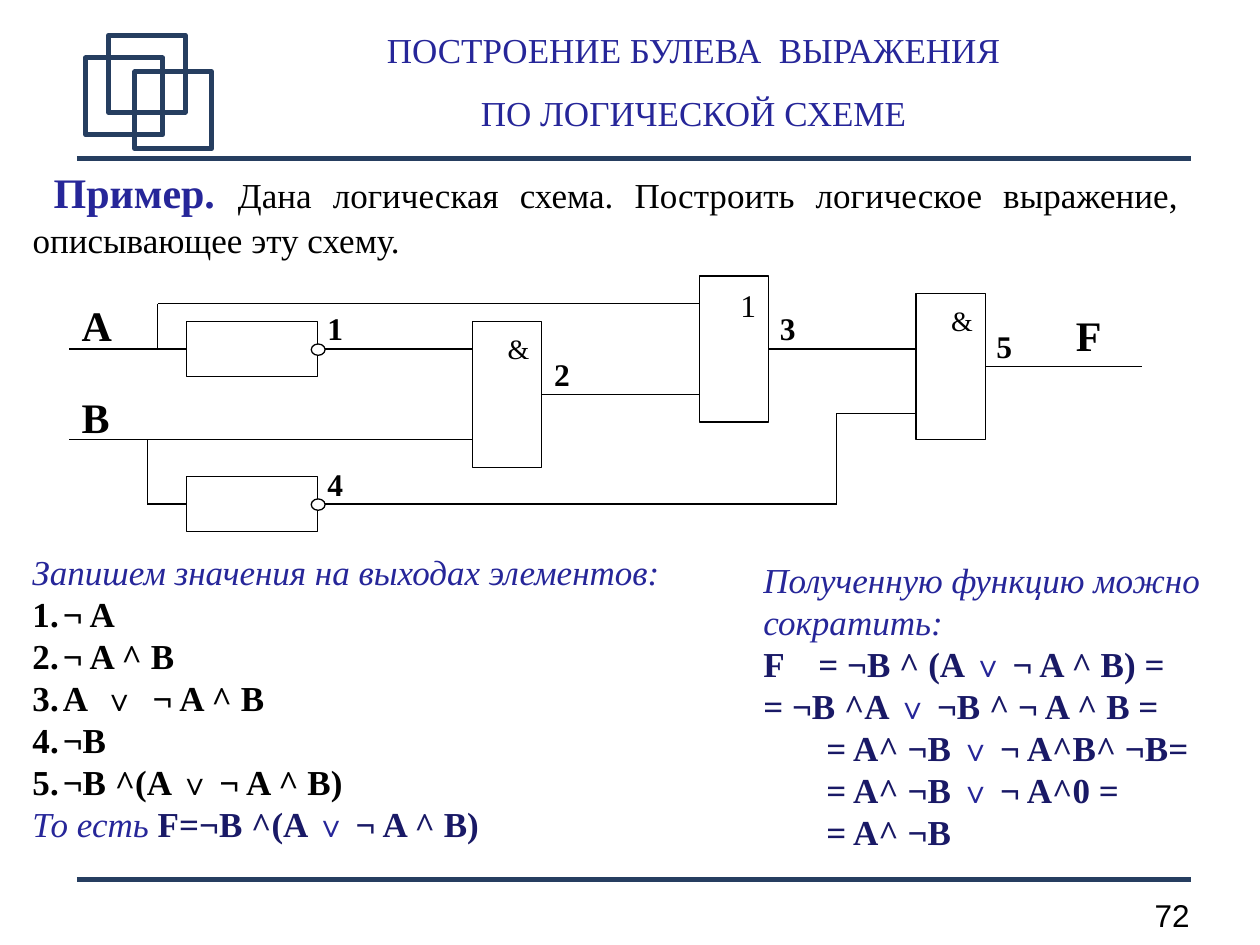
from pptx import Presentation
from pptx.dml.color import RGBColor
from pptx.enum.shapes import MSO_CONNECTOR, MSO_SHAPE
from pptx.enum.text import MSO_ANCHOR, PP_ALIGN
from pptx.oxml.ns import qn
from pptx.util import Emu, Pt
from lxml.etree import SubElement

SCALE = 9144  # EMU in one px, 100 px to the inch
TOP, LEFT, RIGHT = 0, 1, 3  # connection sites of a rectangle
SERIF, SANS = "Times New Roman", "Arial"
COLORS = {
    "ink": "000000",
    "paper": "FFFFFF",
    "frame": "263E60",
    "accent": "262699",
    "formula": "191966",
}
# name: font, size, colour, bold, italic
STYLES = {
    "title": (SERIF, 20, "accent", False, False),
    "lead": (SERIF, 24, "accent", True, False),
    "body": (SERIF, 20, "ink", False, False),
    "note": (SERIF, 20, "accent", False, True),
    "step": (SERIF, 20, "ink", True, False),
    "step or": (SANS, 18, "ink", True, False),
    "formula": (SERIF, 20, "formula", True, False),
    "formula or": (SANS, 18, "accent", True, False),
    "signal": (SERIF, 24, "ink", True, False),
    "number": (SERIF, 18, "ink", True, False),
    "and": (SERIF, 16, "ink", False, False),
    "or": (SERIF, 18, "ink", False, False),
    "page": (SANS, 18, "ink", False, False),
}


def px(length):
    return Emu(length * SCALE)


def color(name):
    return RGBColor.from_string(COLORS[name])


class SlideBuilder:
    def __init__(self, slide):
        self.slide = slide
        self.shapes = slide.shapes

    def style_span(self, span, style):
        name, size, tint, bold, italic = STYLES[style]
        font = span.font
        font.name, font.size, font.bold, font.italic = name, Pt(size), bold, italic
        font.color.rgb = color(tint)

    def line(self, start, end, tint="ink", weight=0.75, source=None, target=None):
        wire = self.shapes.add_connector(
            MSO_CONNECTOR.STRAIGHT, *(px(value) for value in (*start, *end)))
        wire.line.color.rgb = color(tint)
        wire.line.width = Pt(weight)
        SubElement(wire._element.spPr, qn("a:effectLst"))
        if source is not None:
            wire.begin_connect(source, RIGHT)
        if target is not None:
            wire.end_connect(target, LEFT)
        return wire

    def shape(self, kind, left, top, width, height, fill=None, tint="ink", weight=0.75):
        shape = self.shapes.add_shape(kind, px(left), px(top), px(width), px(height))
        shape.shadow.inherit = False
        if fill:
            shape.fill.solid()
            shape.fill.fore_color.rgb = color(fill)
        else:
            shape.fill.background()
        shape.line.color.rgb = color(tint)
        shape.line.width = Pt(weight)
        return shape

    def gate(self, left, top, sign, style):
        gate = self.shape(MSO_SHAPE.RECTANGLE, left, top, 55, 116, "paper")
        frame = gate.text_frame
        frame.text = sign
        frame.vertical_anchor = MSO_ANCHOR.TOP
        frame.margin_top = px(8)
        para = frame.paragraphs[0]
        para.alignment = PP_ALIGN.RIGHT
        self.style_span(para.runs[0], style)
        return gate

    def inverter(self, left, top):
        body = self.shape(MSO_SHAPE.RECTANGLE, left, top, 104, 44)
        self.shape(MSO_SHAPE.OVAL, left + 99, top + 18, 11, 9, "paper")
        return body

    def text(self, left, top, width, height, paras, align=PP_ALIGN.LEFT,
             spacing=None, gap=0, anchor=MSO_ANCHOR.TOP):
        """Each paragraph is a list of (text, style) spans."""
        box = self.shapes.add_textbox(px(left), px(top), px(width), px(height))
        frame = box.text_frame
        frame.word_wrap = True
        frame.vertical_anchor = anchor
        for index, spans in enumerate(paras):
            para = frame.add_paragraph() if index else frame.paragraphs[0]
            para.alignment = align
            para.line_spacing = spacing
            para.space_before = Pt(gap if index else 0)
            for words, style in spans:
                span = para.add_run()
                span.text = words
                self.style_span(span, style)
        return frame.paragraphs

    def indent(self, para, left, hanging=0):
        properties = para._p.get_or_add_pPr()
        properties.set("marL", str(px(left)))
        properties.set("indent", str(px(-hanging)))
        return properties

    def number(self, para):
        properties = self.indent(para, 24, 24)
        SubElement(properties, qn("a:buFont"), typeface="+mj-lt")
        SubElement(properties, qn("a:buAutoNum"), type="arabicPeriod")


def main():
    deck = Presentation()
    deck.slide_width, deck.slide_height = px(1000), px(750)
    page = SlideBuilder(deck.slides.add_slide(deck.slide_layouts[6]))

    # Frame: rules, overlapping squares, page number
    for y in (698, 126):
        page.line((61, y), (945, y), "frame", 2.83)
    for left, top in ((68, 46), (86, 28), (107, 57)):
        square = page.shape(MSO_SHAPE.ROUNDED_RECTANGLE, left, top, 61, 61,
                            tint="frame", weight=2.83)
        square.adjustments[0] = 0
    page.text(845, 706, 109, 40, [[("72", "page")]], PP_ALIGN.RIGHT)

    # Title and task
    page.text(90, 8, 921, 112,
              [[("ПОСТРОЕНИЕ БУЛЕВА  ВЫРАЖЕНИЯ", "title")],
               [("ПО ЛОГИЧЕСКОЙ СХЕМЕ", "title")]],
              PP_ALIGN.CENTER, gap=12, anchor=MSO_ANCHOR.MIDDLE)
    page.text(16, 125, 929, 85,
              [[(" ", "body"), ("Пример. ", "lead"),
                ("Дана логическая схема. Построить логическое выражение, "
                 "описывающее эту схему.", "body")]],
              PP_ALIGN.JUSTIFY, spacing=1.05)

    # Logic elements
    not_a = page.inverter(148, 255)
    not_b = page.inverter(148, 378)
    first_and = page.gate(375, 255, "&", "and")
    or_gate = page.gate(555, 219, "1", "or")
    last_and = page.gate(727, 233, "&", "and")

    # Wires that leave or enter the middle of a side
    page.line((55, 277), (148, 277), target=not_a)
    page.line((117, 400), (148, 400), target=not_b)
    page.line((430, 313), (555, 313), source=first_and)
    page.line((610, 277), (727, 277), source=or_gate)
    page.line((782, 291), (906, 291), source=last_and)

    # Other wires
    for start, end in (
        ((258, 277), (375, 277)),
        ((125, 277), (125, 241)),
        ((125, 241), (555, 241)),
        ((55, 349), (375, 349)),
        ((117, 349), (117, 400)),
        ((258, 400), (664, 400)),
        ((664, 400), (664, 328)),
        ((664, 328), (727, 328)),
    ):
        page.line(start, end)

    # Signal names and output numbers
    for sign, left, top in (("A", 55, 233), ("B", 55, 306), ("F", 844, 241)):
        page.text(left, top, 47, 50, [[(sign, "signal")]])
    for sign, left, top in (("1", 250, 240), ("2", 430, 277), ("3", 609, 240),
                            ("4", 250, 364), ("5", 781, 255)):
        page.text(left, top, 39, 40, [[(sign, "number")]])

    # Values at the outputs
    values = page.text(16, 432, 560, 243, [
        [("Запишем значения на выходах элементов:", "note")],
        [("¬ A", "step")],
        [("¬ A ^ B", "step")],
        [("A  ", "step"), ("∨  ", "step or"), ("¬ A ^ B", "step")],
        [("¬B", "step")],
        [("¬B ^(A ", "step"), ("∨ ", "step or"), ("¬ A ^ B)", "step")],
        [("То есть ", "note"), ("F=¬B ^(A ", "formula"), ("∨ ", "formula or"),
         ("¬ A ^ B)", "formula")],
    ], spacing=Pt(24))
    for para in values[1:6]:
        page.number(para)

    # Simplification
    simplified = page.text(586, 438, 391, 243, [
        [("Полученную функцию можно сократить:", "note")],
        [("F    = ¬B ^ (A ", "formula"), ("∨ ", "formula or"),
         ("¬ A ^ B) =", "formula")],
        [("= ¬B ^A ", "formula"), ("∨", "formula or"),
         (" ¬B ^ ¬ A ^ B =", "formula")],
        [("= A^ ¬B ", "formula"), ("∨", "formula or"),
         (" ¬ A^B^ ¬B=", "formula")],
        [("= A^ ¬B ", "formula"), ("∨", "formula or"), (" ¬ A^0 =", "formula")],
        [("= A^ ¬B", "formula")],
    ], spacing=Pt(24))
    for index, para in enumerate(simplified):
        page.indent(para, 10 if index < 3 else 60)

    deck.save("out.pptx")


if __name__ == "__main__":
    main()
